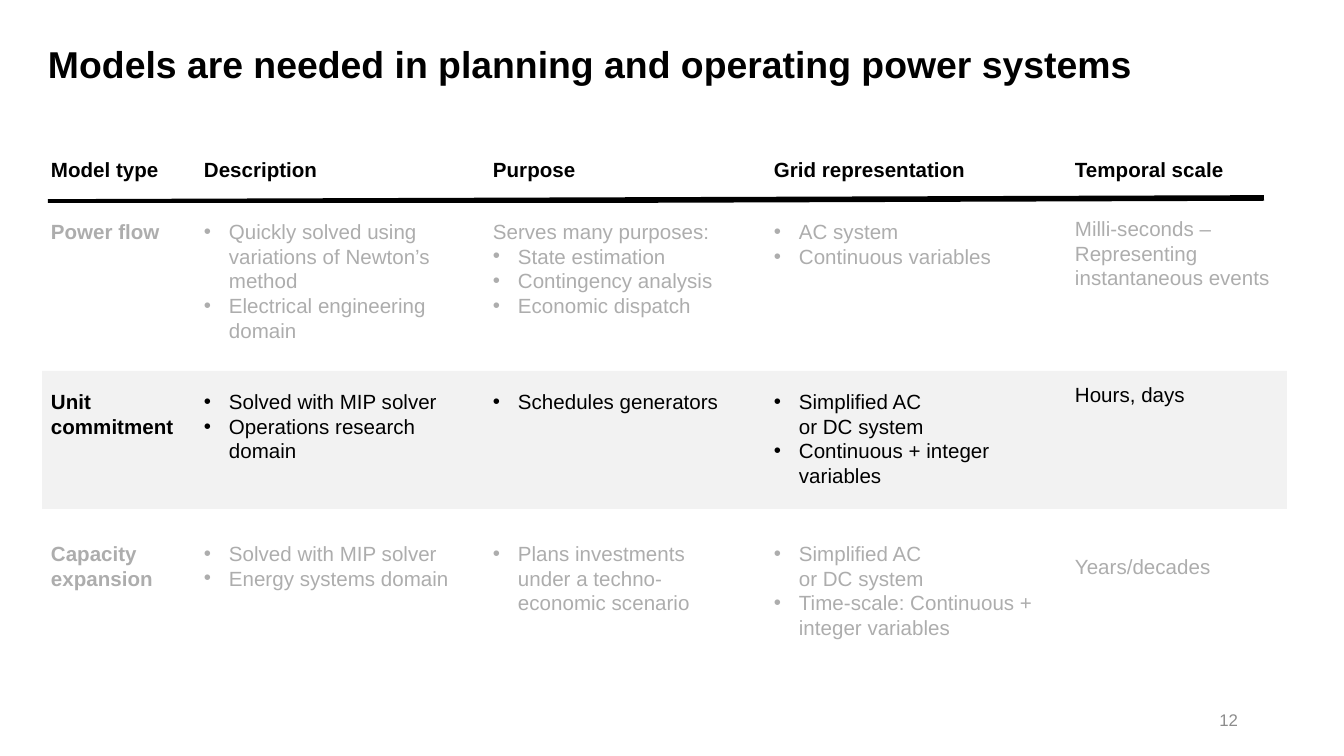
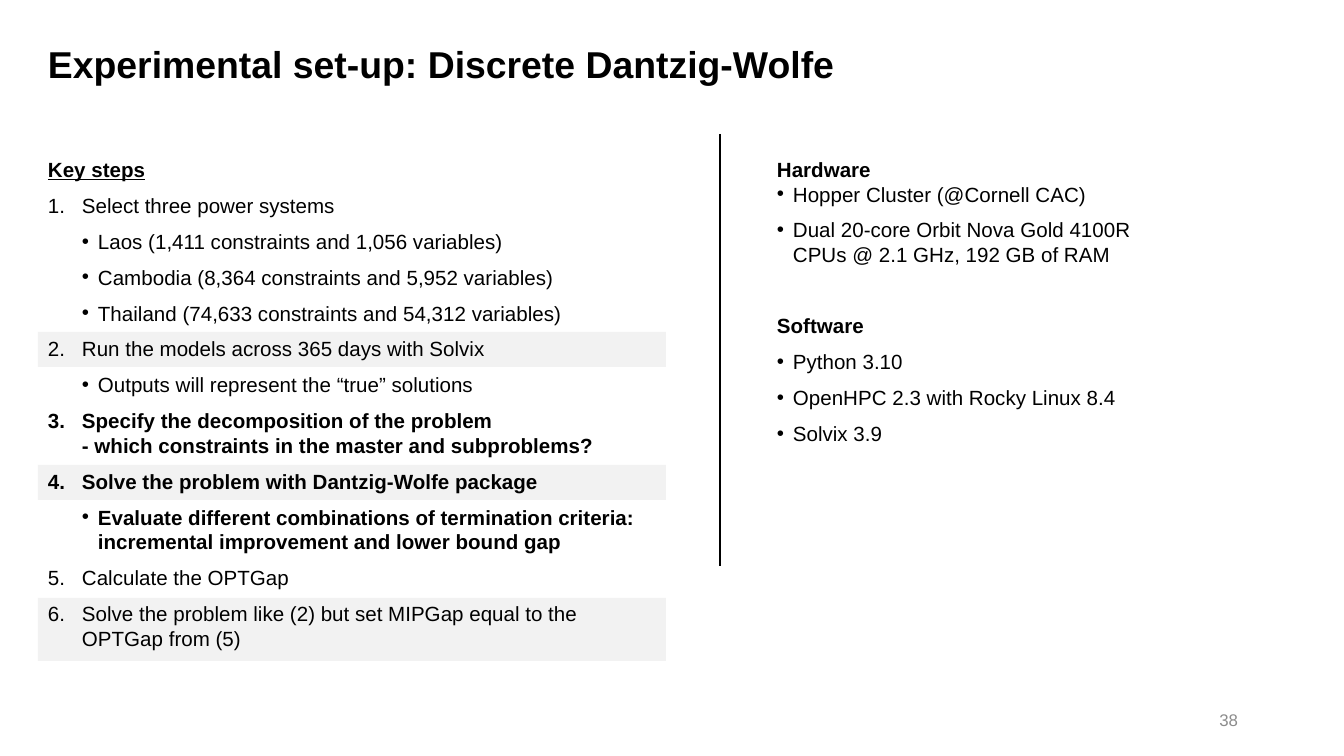
from copy import deepcopy
from dataclasses import dataclass

from lxml import etree
from pptx import Presentation
from pptx import util as u
from pptx.dml.color import RGBColor
from pptx.enum import shapes, text
from pptx.oxml.ns import qn

SCALE = 914400 / 134.4
FONT = "Arial"
COLOURS = {"ink": "000000", "paper": "FFFFFF", "band": "F2F2F2", "number": "8C8C8C"}
LINE_HEIGHT = 25


@dataclass
class Line:
    text: str
    mark: str = ""
    left: int = 0
    hang: int = 0
    bold: bool = False
    underline: bool = False
    before: int = 0
    after: int = 0
    start: int = 1


def px(length):
    return u.Emu(round(length * SCALE))


def colour(name):
    return RGBColor.from_string(COLOURS[name])


def set_mark(para, line):
    props = para._p.get_or_add_pPr()
    props.set("marL", str(px(line.left)))
    props.set("indent", str(-px(line.hang)))
    if line.mark == "1.":
        number = etree.SubElement(props, qn("a:buAutoNum"), type="arabicPeriod")
        if line.start > 1:
            number.set("startAt", str(line.start))
    else:
        etree.SubElement(props, qn("a:buFont"), typeface=FONT)
        etree.SubElement(props, qn("a:buChar"), char=line.mark)


def fill_para(para, line, size, ink):
    para.text = line.text
    para.space_before = u.Pt(line.before)
    para.space_after = u.Pt(line.after)
    if line.mark:
        set_mark(para, line)
    for span in para.runs:
        span.font.name = FONT
        span.font.size = u.Pt(size)
        span.font.bold = line.bold
        span.font.underline = line.underline
        span.font.color.rgb = colour(ink)
    for line_break in para._p.findall(qn("a:br")):
        line_break.append(deepcopy(para.runs[0]._r.rPr))


def add_text(page, box, lines, size=11, ink="ink"):
    frame = page.shapes.add_textbox(*map(px, box)).text_frame
    frame.word_wrap = True
    frame.auto_size = text.MSO_AUTO_SIZE.SHAPE_TO_FIT_TEXT
    frame.margin_left = frame.margin_top = frame.margin_right = frame.margin_bottom = 0
    for index, line in enumerate(lines):
        para = frame.add_paragraph() if index else frame.paragraphs[0]
        fill_para(para, line, size, ink)
    return frame


def add_band(page, box, fill="band"):
    band = page.shapes.add_shape(shapes.MSO_SHAPE.RECTANGLE, *map(px, box))
    band.shadow.inherit = False
    band.fill.solid()
    band.fill.fore_color.rgb = colour(fill)
    band.line.fill.background()
    return band


def add_veil(page, box):
    veil = add_band(page, box, "paper")
    tint = veil.fill._xPr.find(qn("a:solidFill"))[0]
    etree.SubElement(tint, qn("a:alpha"), val="68000")
    veil.line.color.rgb = colour("paper")
    veil.line.width = u.Pt(1)


def add_rule(page, ends, width):
    rule = page.shapes.add_connector(shapes.MSO_CONNECTOR.STRAIGHT, *map(px, ends))
    rule.line.color.rgb = colour("ink")
    rule.line.width = u.Pt(width)
    etree.SubElement(rule._element.spPr, qn("a:effectLst"))


def add_page(deck, title, title_width, number):
    page = deck.slides.add_slide(deck.slide_layouts[6])
    add_text(page, (48, 41, title_width, 46), [Line(title, bold=True)], 20)
    frame = add_text(page, (949, 700, 302, 40), [Line(number)], 9, "number")
    frame.auto_size = text.MSO_AUTO_SIZE.NONE
    frame.margin_left = frame.margin_right = px(13)
    frame.margin_top = frame.margin_bottom = px(7)
    frame.vertical_anchor = text.MSO_ANCHOR.MIDDLE
    frame.paragraphs[0].alignment = text.PP_ALIGN.RIGHT
    return page


def dots(*texts):
    return [Line(each, "•", 25, 25) for each in texts]


COLUMNS = [("Model type", 51, 134), ("Description", 204, 269), ("Purpose", 493, 228),
           ("Grid representation", 774, 269), ("Temporal scale", 1075, 215)]

MODELS = [
    (219, -3, [
        (1, [Line("Power flow", bold=True)]),
        (6, dots("Quickly solved using\vvariations of Newton’s method",
                 "Electrical engineering domain")),
        (4, [Line("Serves many purposes:")]
         + dots("State estimation", "Contingency analysis", "Economic dispatch")),
        (2, dots("AC system", "Continuous variables")),
        (3, [Line("Milli-seconds –\vRepresenting instantaneous events")]),
    ]),
    (389, -7, [
        (2, [Line("Unit commitment", bold=True)]),
        (3, dots("Solved with MIP solver", "Operations research domain")),
        (1, dots("Schedules generators")),
        (4, dots("Simplified AC\vor DC system", "Continuous + integer variables")),
        (1, [Line("Hours, days")]),
    ]),
    (541, 13, [
        (2, [Line("Capacity expansion", bold=True)]),
        (2, dots("Solved with MIP solver", "Energy systems domain")),
        (3, dots("Plans investments under a techno-economic scenario")),
        (5, dots("Simplified AC\vor DC system",
                 "Time-scale: Continuous + integer variables")),
        (1, [Line("Years/decades")]),
    ]),
]


def build_models(deck):
    page = add_page(deck, "Models are needed in planning and operating power systems", 1171, "12")
    band = add_band(page, (42, 371, 1245, 138))
    page.shapes._spTree.insert(2, band._element)
    for name, left, width in COLUMNS:
        add_text(page, (left, 157, width, LINE_HEIGHT), [Line(name, bold=True)])
    for top, scale_shift, cells in MODELS:
        for (name, left, width), (count, lines) in zip(COLUMNS, cells):
            shift = scale_shift if name == "Temporal scale" else 0
            add_text(page, (left, top + shift, width, count * LINE_HEIGHT), lines)
    add_rule(page, (48, 202, 1264, 198), 3)
    for left, top in ((19, 204), (27, 523)):
        add_veil(page, (left, top, 1305, 149))


STEPS = [
    ("1.", "Select three power systems", False),
    ("•", "Laos (1,411 constraints and 1,056 variables)", False),
    ("•", "Cambodia (8,364 constraints and 5,952 variables)", False),
    ("•", "Thailand (74,633 constraints and 54,312 variables)", False),
    ("1.", "Run the models across 365 days with Solvix", False),
    ("•", "Outputs will represent the “true” solutions", False),
    ("1.", "Specify the decomposition of the problem"
           "\v- which constraints in the master and subproblems?", True),
    ("1.", "Solve the problem with Dantzig-Wolfe package", True),
    ("•", "Evaluate different combinations of termination criteria: "
          "incremental improvement and lower bound gap", True),
    ("1.", "Calculate the OPTGap", False),
    ("1.", "Solve the problem like (2) but set MIPGap equal to the OPTGap from (5)", False),
]


def add_steps(page, box):
    left, top, width, height = box
    for shift, depth in ((175, 35), (308, 35), (441, 63)):
        add_band(page, (left - 10, top + shift, 628, depth))
    lines = [Line("Key steps", bold=True, underline=True, after=6)]
    count = start = 0
    previous = ""
    for mark, words, bold in STEPS:
        if mark == "1.":
            count += 1
            start = start if previous == mark else count
            lines.append(Line(words, mark, 34, 34, bold, after=6, start=start))
        else:
            lines.append(Line(words, mark, 50, 16, bold, after=6))
        previous = mark
    add_text(page, box, lines)


def add_equipment(page, box):
    def items(*texts):
        return [Line(each, "•", 16, 16, after=6) for each in texts]

    add_text(page, box, [
        Line("Hardware", bold=True),
        *items("Hopper Cluster (@Cornell CAC)",
               "Dual 20-core Orbit Nova Gold 4100R CPUs @ 2.1 GHz, 192 GB of RAM"),
        Line("Software", bold=True, before=19, after=6),
        *items("Python 3.10", "OpenHPC 2.3 with Rocky Linux 8.4", "Solvix 3.9"),
    ])


def build_setup(deck):
    page = add_page(deck, "Experimental set-up: Discrete Dantzig-Wolfe", 1230, "38")
    add_steps(page, (48, 157, 587, 497))
    add_equipment(page, (777, 157, 383, 292))
    add_rule(page, (720, 134, 720, 566), 1.5)


def main():
    deck = Presentation()
    deck.slide_width, deck.slide_height = px(1344), px(756)
    build_models(deck)
    build_setup(deck)
    deck.save("out.pptx")


if __name__ == "__main__":
    main()
